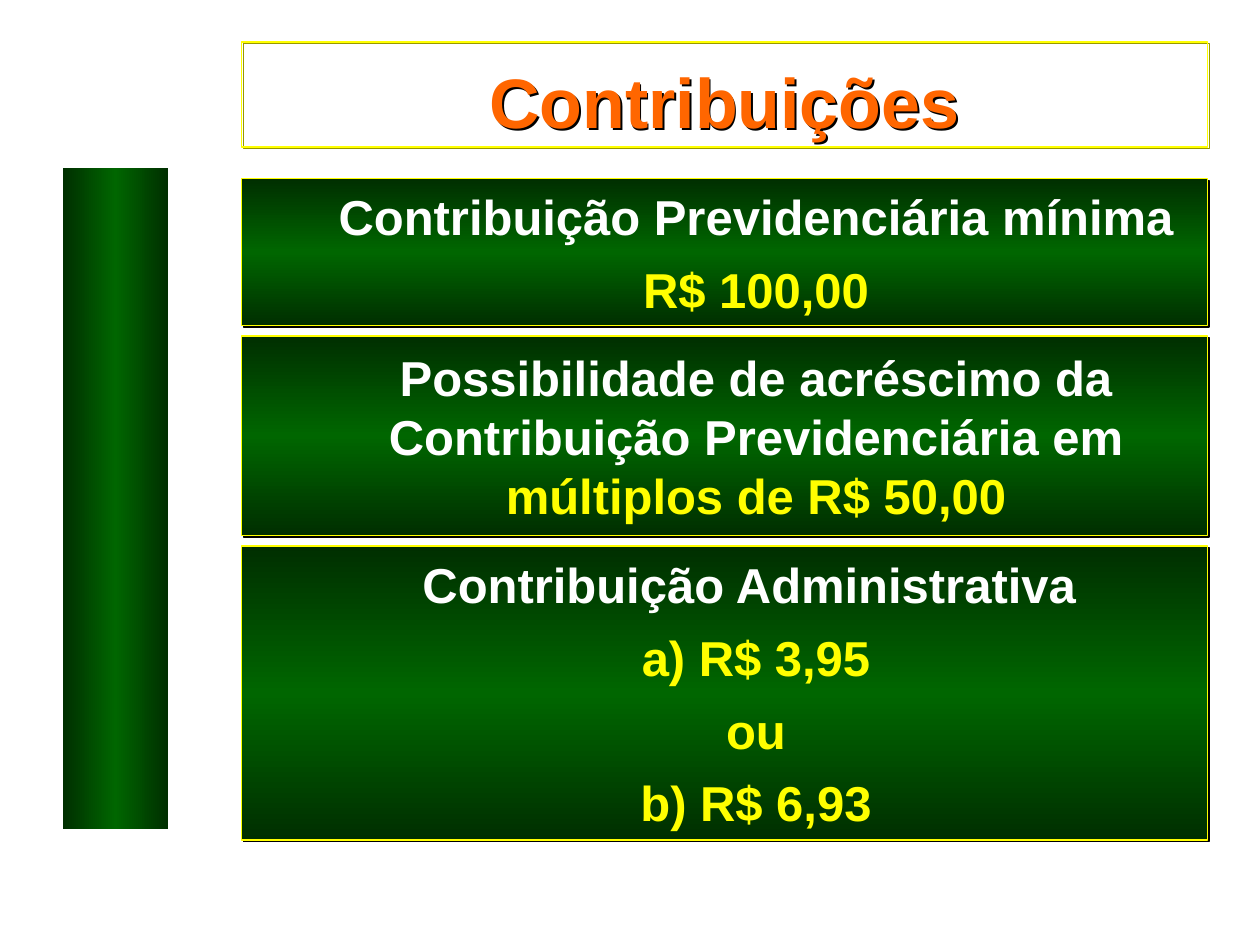
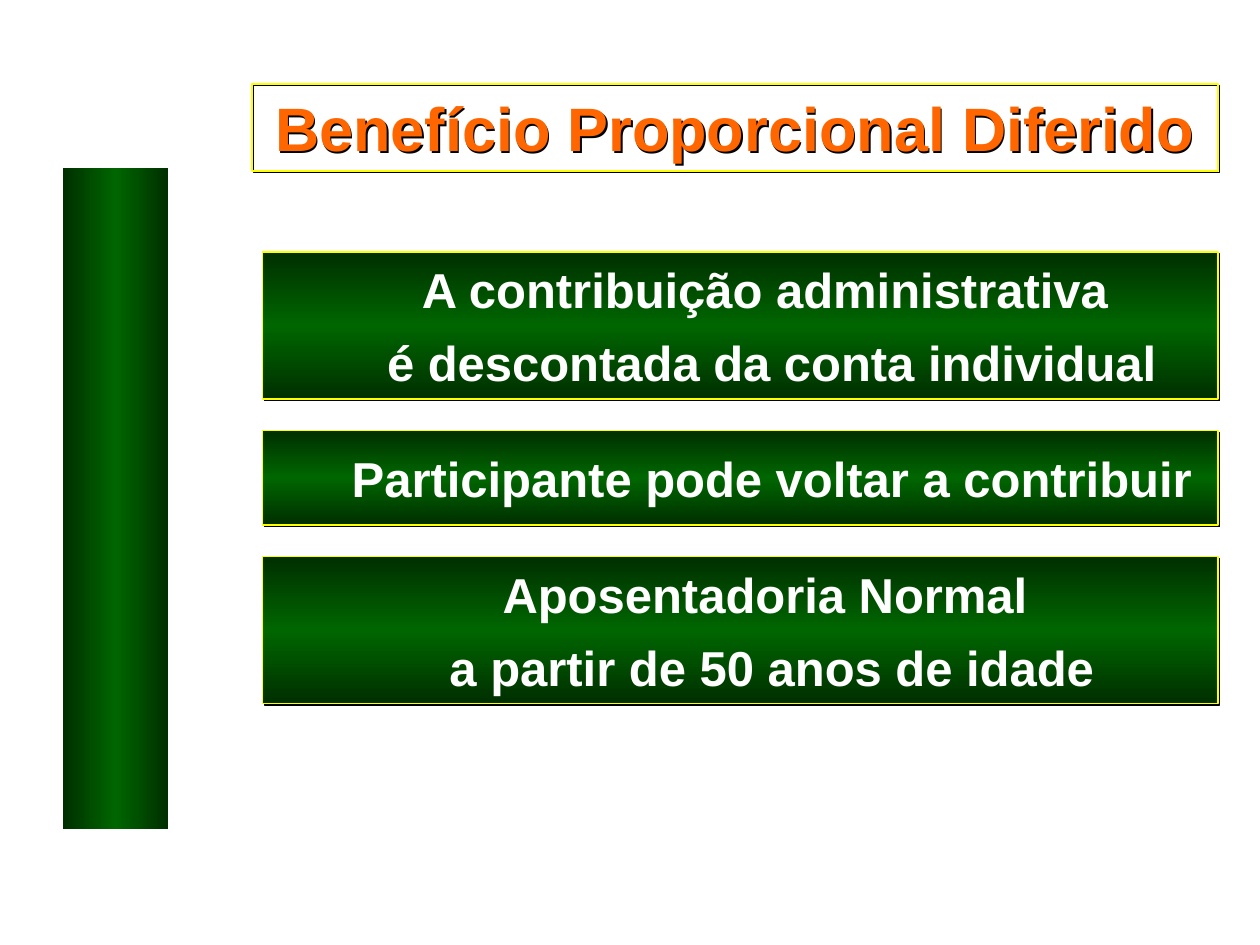
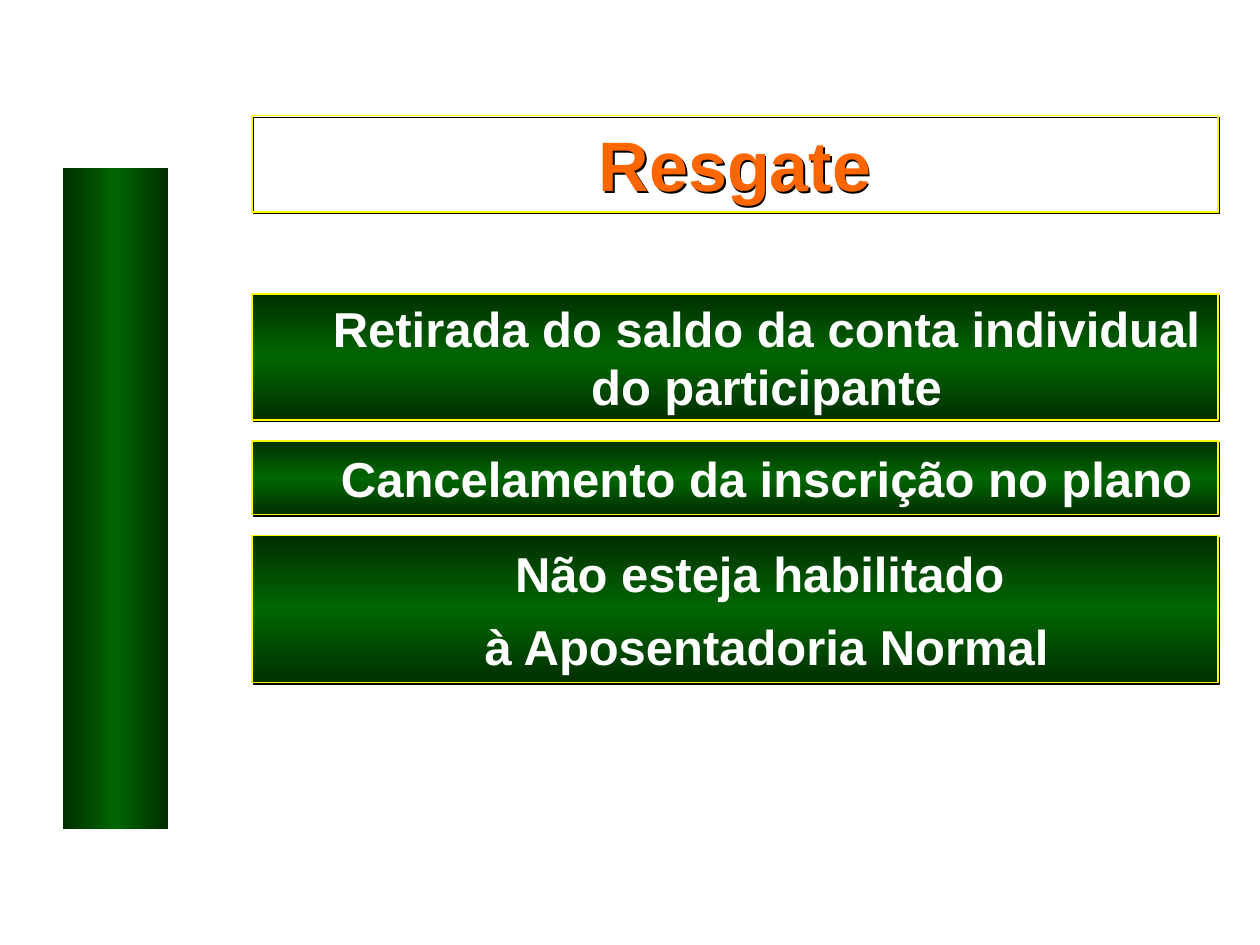
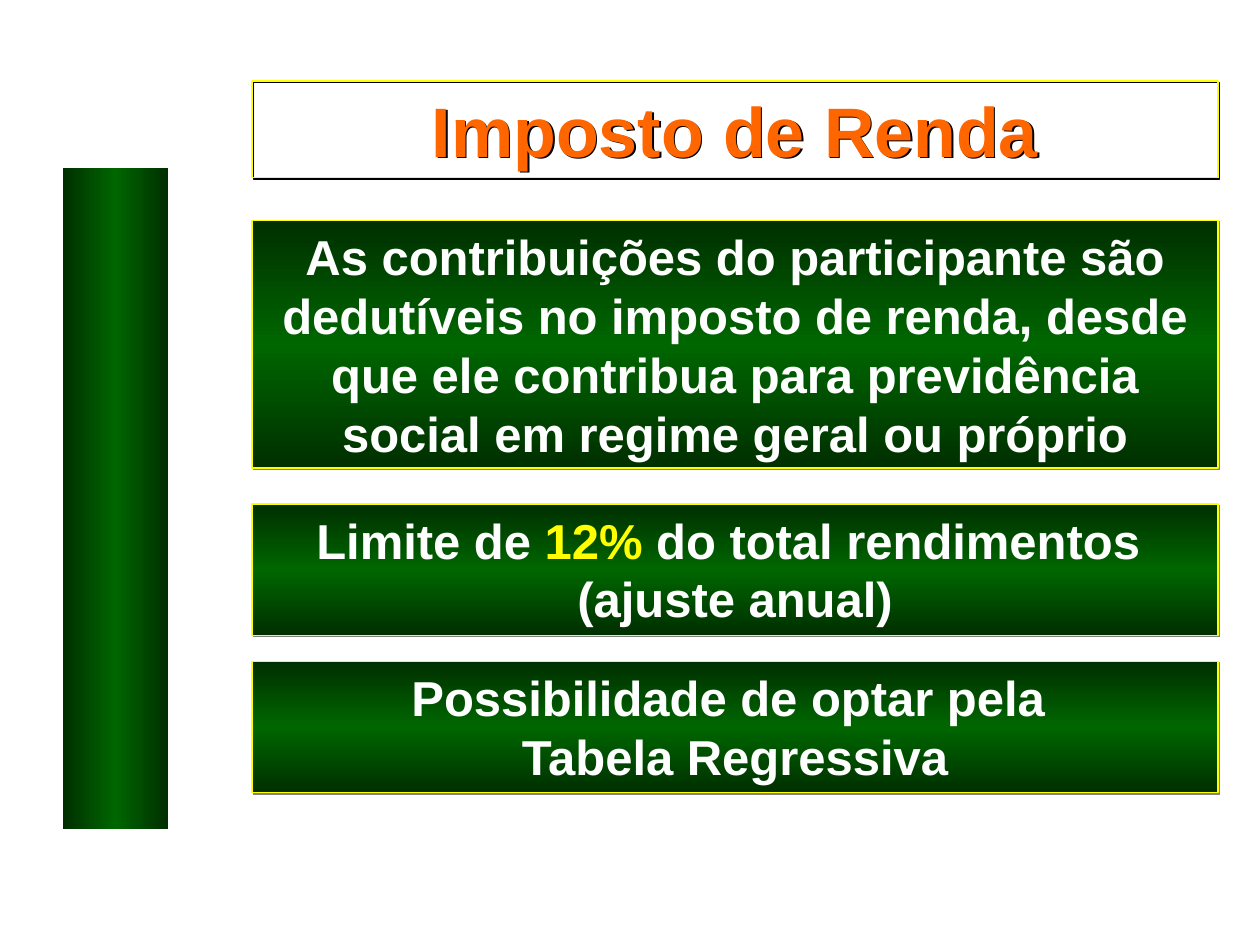
from dataclasses import dataclass
from typing import Any, NamedTuple

import lxml.etree
import pptx
import pptx.dml.color
import pptx.enum.shapes
import pptx.enum.text
import pptx.oxml.ns
import pptx.util

EMU_PER_PX = 7620
SLIDE_WIDTH, SLIDE_HEIGHT = 1200, 900
WHITE, YELLOW, ORANGE, BLACK, GRAY, OLIVE = (
    "FFFFFF", "FFFF00", "FF6600", "000000", "808080", "989800")
GRADIENT = ((0, "002F00"), (50000, "006600"), (100000, "002F00"))
LEVEL_INDENT = 60
ANCHOR = pptx.enum.text.MSO_ANCHOR
AUTO_SIZE = pptx.enum.text.MSO_AUTO_SIZE


class Area(NamedTuple):
    left: int
    top: int
    width: int
    height: int


class Run(NamedTuple):
    text: str
    color: str = WHITE


Paragraph = tuple[Run, ...]


@dataclass(frozen=True)
class Title:
    text: str
    area: Area
    size: int = 40
    framed: bool = True


@dataclass(frozen=True)
class Panel:
    area: Area
    paragraphs: tuple[Paragraph, ...]
    spacing: int = 4
    indented: bool = True
    shadow: str = BLACK


@dataclass(frozen=True)
class Page:
    title: Title
    panels: tuple[Panel, ...]


def px(length: int) -> int:
    return pptx.util.Emu(length * EMU_PER_PX)


def rgb(color: str) -> pptx.dml.color.RGBColor:
    return pptx.dml.color.RGBColor.from_string(color)


def apply_format(target: Any, values: dict[str, Any]) -> None:
    for name, value in values.items():
        setattr(target, name, value)


def add_child(parent: Any, tag: str, **attributes: str) -> Any:
    child = lxml.etree.SubElement(parent, pptx.oxml.ns.qn(tag))
    for name, value in attributes.items():
        child.set(name, value)
    return child


def fill_gradient(shape: Any, angle: int) -> None:
    shape.fill.gradient()
    shape.fill.gradient_angle = angle
    stops = next(shape.element.iter(pptx.oxml.ns.qn("a:gsLst")))
    for stop in list(stops):
        stops.remove(stop)
    for position, color in GRADIENT:
        stop = add_child(stops, "a:gs", pos=str(position))
        add_child(stop, "a:srgbClr", val=color)


def add_shadow(shape: Any, color: str) -> None:
    shape.shadow.inherit = False
    effects = next(shape.element.iter(pptx.oxml.ns.qn("a:effectLst")))
    shadow = add_child(effects, "a:outerShdw", blurRad="0", dist="17780",
                       dir="2700000", algn="ctr", rotWithShape="0")
    add_child(shadow, "a:srgbClr", val=color)


def add_rectangle(slide: Any, area: Area) -> Any:
    return slide.shapes.add_shape(
        pptx.enum.shapes.MSO_SHAPE.RECTANGLE, *map(px, area))


def add_frame(slide: Any, area: Area, shadow: str) -> Any:
    shape = add_rectangle(slide, area)
    shape.fill.background()
    shape.line.color.rgb = rgb(YELLOW)
    shape.line.width = pptx.util.Pt(0.75)
    add_shadow(shape, shadow)
    return shape


def write_text(shape: Any, paragraphs: tuple[Paragraph, ...], size: int,
               spacing: int = 0, indented: bool = False) -> None:
    frame = shape.text_frame
    apply_format(frame, {
        "word_wrap": True,
        "vertical_anchor": ANCHOR.MIDDLE if indented else ANCHOR.TOP,
        "auto_size": AUTO_SIZE.NONE if indented else AUTO_SIZE.SHAPE_TO_FIT_TEXT,
    })
    for index, runs in enumerate(paragraphs):
        paragraph = frame.add_paragraph() if index else frame.paragraphs[0]
        apply_format(paragraph, {
            "alignment": pptx.enum.text.PP_ALIGN.CENTER,
            "level": int(indented),
            "space_before": pptx.util.Pt(spacing),
            "space_after": pptx.util.Pt(spacing),
        })
        if indented:
            properties = paragraph._p.get_or_add_pPr()
            properties.set("marL", str(px(LEVEL_INDENT)))
            properties.set("indent", "0")
        for item in runs:
            run = paragraph.add_run()
            run.text = item.text
            apply_format(run.font, {
                "name": "Arial", "size": pptx.util.Pt(size), "bold": True})
            run.font.color.rgb = rgb(item.color)


def draw_band(slide: Any) -> None:
    band = add_rectangle(slide, Area(60, 160, 100, 630))
    band.shadow.inherit = False
    fill_gradient(band, 180)
    band.line.fill.background()


def draw_title(slide: Any, title: Title) -> None:
    if title.framed:
        shape = add_frame(slide, title.area, BLACK)
    else:
        upright_frame = add_frame(slide, Area(640, -370, 100, 920), OLIVE)
        upright_frame.rotation = 90
        shape = slide.shapes.add_textbox(*map(px, title.area))
        add_shadow(shape, BLACK)
    write_text(shape, ((Run(title.text, ORANGE),),), title.size)


def draw_panel(slide: Any, panel: Panel) -> None:
    shape = add_frame(slide, panel.area, panel.shadow)
    fill_gradient(shape, 90)
    write_text(shape, panel.paragraphs, 28, panel.spacing, panel.indented)


def tax_panel(top: int, height: int, *paragraphs: Paragraph) -> Panel:
    return Panel(Area(240, top, 920, height), paragraphs,
                 spacing=0, indented=False, shadow=GRAY)


PAGES = (
    Page(Title("Contribuições", Area(230, 50, 920, 92), framed=False), (
        Panel(Area(230, 170, 920, 140), (
            (Run("Contribuição Previdenciária mínima"),),
            (Run("R$ 100,00", YELLOW),))),
        Panel(Area(230, 520, 920, 280), (
            (Run("Contribuição Administrativa "),),
            (Run("a) R$ 3,95", YELLOW),),
            (Run("ou", YELLOW),),
            (Run("b) R$ 6,93", YELLOW),))),
        Panel(Area(230, 320, 920, 190), (
            (Run("Possibilidade de acréscimo da Contribuição Previdenciária em "),
             Run("múltiplos de R$ 50,00", YELLOW)),)),
    )),
    Page(Title("Benefício Proporcional Diferido", Area(240, 80, 920, 83), size=35), (
        Panel(Area(250, 240, 910, 140), (
            (Run("A contribuição administrativa "),),
            (Run("é descontada da conta individual"),))),
        Panel(Area(250, 410, 910, 90), (
            (Run("Participante pode voltar a contribuir"),),)),
        Panel(Area(250, 530, 910, 140), (
            (Run("Aposentadoria Normal "),),
            (Run("a partir de 50 anos de idade"),))),
    )),
    Page(Title("Resgate", Area(240, 110, 920, 92)), (
        Panel(Area(240, 420, 920, 70), (
            (Run("Cancelamento da inscrição no plano"),),), spacing=0),
        Panel(Area(240, 510, 920, 140), (
            (Run("Não esteja habilitado "),),
            (Run("à Aposentadoria Normal"),))),
        Panel(Area(240, 280, 920, 120), (
            (Run("Retirada do saldo da conta individual do participante"),),)),
    )),
    Page(Title("Imposto de Renda", Area(240, 77, 920, 92)), (
        tax_panel(210, 236, (
            Run("As contribuições do participante são dedutíveis no imposto de "
                "renda, desde que ele contribua para previdência social em "
                "regime geral ou próprio"),)),
        tax_panel(480, 125,
                  (Run("Limite de "), Run("12%", YELLOW),
                   Run(" do total rendimentos ")),
                  (Run("(ajuste anual)"),)),
        tax_panel(630, 125,
                  (Run("Possibilidade de optar pela "),),
                  (Run("Tabela Regressiva"),)),
    )),
)


def main() -> None:
    presentation = pptx.Presentation()
    apply_format(presentation, {
        "slide_width": px(SLIDE_WIDTH), "slide_height": px(SLIDE_HEIGHT)})
    for page in PAGES:
        slide = presentation.slides.add_slide(presentation.slide_layouts[6])
        draw_band(slide)
        draw_title(slide, page.title)
        for panel in page.panels:
            draw_panel(slide, panel)
    presentation.save("out.pptx")


if __name__ == "__main__":
    main()
